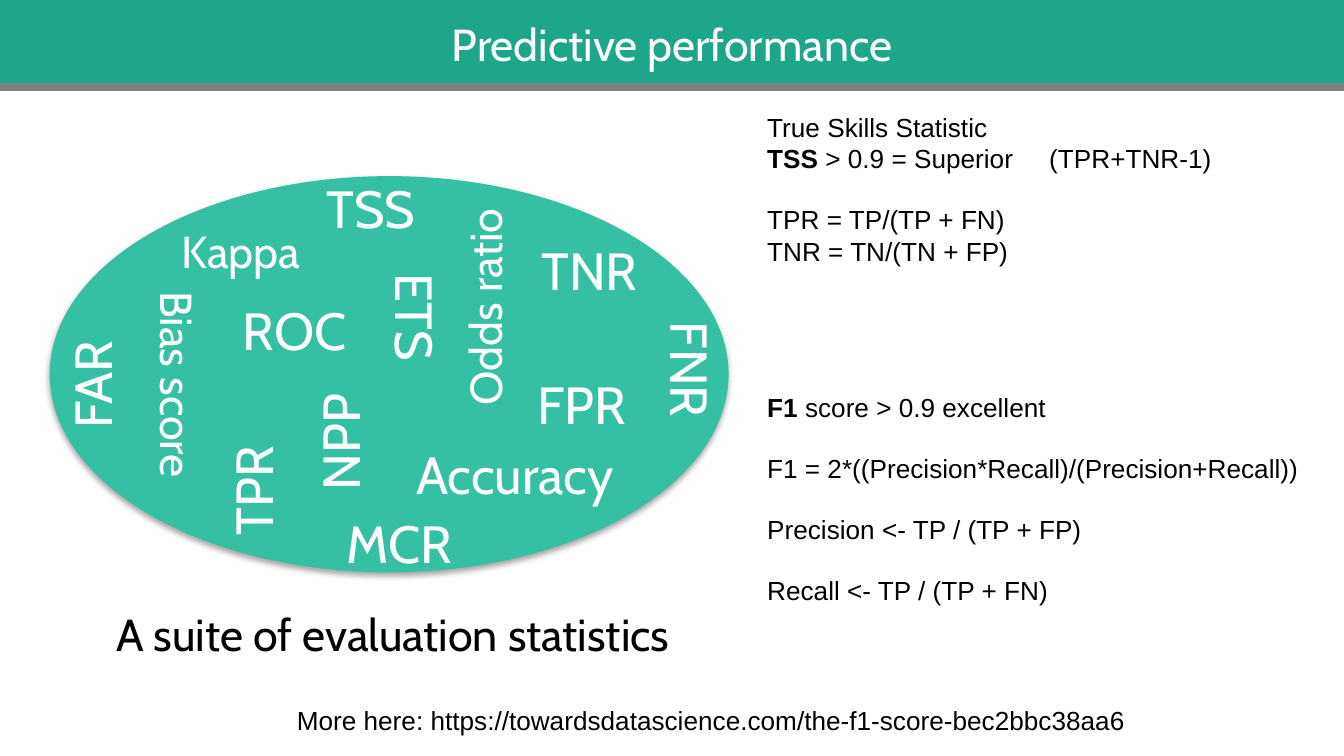
from lxml.etree import SubElement
from pptx import Presentation
from pptx.dml.color import RGBColor
from pptx.enum.shapes import MSO_CONNECTOR, MSO_SHAPE
from pptx.enum.text import MSO_ANCHOR, PP_ALIGN
from pptx.oxml.ns import qn
from pptx.util import Cm, Pt

WHITE = RGBColor(0xFF, 0xFF, 0xFF)
BLACK = RGBColor(0, 0, 0)
GREEN = RGBColor(0x1D, 0xA6, 0x8A)
MINT = RGBColor(0x35, 0xBF, 0xA3)
GREY = RGBColor(0x7F, 0x7F, 0x7F)

WIDE, HIGH, BAR = 25.4, 14.29, 1.65
TALL = {28: 1.45, 24: 1.27}
LINE = 16

TITLE = "Predictive performance"
CAPTION = "A suite of evaluation statistics"

# left, top, width, turn, size
WORDS = [
    ("TSS", 5.92, 3.2, 2.72, 0, 28),
    ("Accuracy", 7.62, 8.23, 4.78, 0, 28),
    ("FAR", 0.38, 6.27, 2.72, 270, 28),
    ("ROC", 4.34, 5.51, 2.72, 0, 28),
    ("Kappa", 3.18, 4.11, 4.24, 0, 24),
    ("MCR", 6.3, 9.53, 3.71, 0, 28),
    ("TPR", 3.43, 8.28, 2.72, 270, 28),
    ("NPP", 5.16, 7.52, 2.54, 270, 28),
    ("Bias score", 1.09, 6.91, 4.57, 90, 24),
    ("FNR", 11.79, 6.38, 2.54, 90, 28),
    ("TNR", 9.98, 4.37, 2.54, 0, 28),
    ("Odds ratio", 6.55, 4.67, 5.21, 270, 24),
    ("FPR", 9.91, 6.91, 2.72, 0, 28),
    ("ETS", 6.5, 5.56, 2.72, 90, 28),
]

NOTES = [
    ((14.25, 7.14, 10.77, 4.7), [
        ("F1", " score > 0.9 excellent", 0),
        ("", "F1 = 2*((Precision*Recall)/(Precision+Recall))", 1),
        ("", "Precision <- TP / (TP + FP)", 1),
        ("", "Recall <- TP / (TP + FN)", 1),
    ]),
    ((14.25, 1.85, 9.93, 4.11), [
        ("", "True Skills Statistic", 0),
        ("TSS", " > 0.9 = Superior\t(TPR+TNR-1)", 0),
        ("", "TPR = TP/(TP + FN)", 1),
        ("", "TNR = TN/(TN + FP)", 0),
    ]),
    ((5.36, 13.06, 17.5, 1.12), [
        ("", "More here: https://towardsdatascience.com/the-f1-score-bec2bbc38aa6", 0),
    ]),
]


def style(font, name, size, color):
    font.name, font.size = name, Pt(size)
    font.color.rgb = color


def add_box(spot):
    box = slide.shapes.add_textbox(*map(Cm, spot))
    box.text_frame.word_wrap = True
    return box


def add_word(text, left, top, width, turn, size, color=WHITE):
    box = add_box((left, top, width, TALL[size]))
    box.rotation = turn
    box.text_frame.text = text
    style(box.text_frame.paragraphs[0].runs[0].font, "Cabin", size, color)
    return box


def add_note(spot, rows):
    frame = add_box(spot).text_frame
    frame.margin_left = frame.margin_right = Cm(0.25)
    frame.margin_top = frame.margin_bottom = Cm(0.25)
    for i, (head, rest, gap) in enumerate(rows):
        para = frame.add_paragraph() if i else frame.paragraphs[0]
        if gap:
            para.space_before = Pt(gap * LINE)
        if "\t" in rest:
            tabs = SubElement(para._p.get_or_add_pPr(), qn("a:tabLst"))
            SubElement(tabs, qn("a:tab"), pos=str(Cm(5.33)), algn="l")
        para.text = head + rest if not head else head
        if head:
            para.add_run().text = rest.replace("\t", "\t")
        for run in para.runs:
            style(run.font, "Arial", 14, BLACK)
            run.font.bold = run.text == head


def add_shade(shape):
    effect = SubElement(shape._element.spPr, qn("a:effectLst"))
    shade = SubElement(effect, qn("a:outerShdw"), blurRad=str(Pt(3.1)),
                       dist=str(Pt(1.8)), dir="5400000", rotWithShape="0")
    color = SubElement(shade, qn("a:srgbClr"), val="000000")
    SubElement(color, qn("a:alpha"), val="34000")


deck = Presentation()
deck.slide_width, deck.slide_height = Cm(WIDE), Cm(HIGH)
slide = deck.slides.add_slide(deck.slide_layouts[5])

title = slide.shapes.title
title.left, title.top, title.width, title.height = map(Cm, (0, 0, WIDE, BAR))
title.fill.solid()
title.fill.fore_color.rgb = GREEN
title.text_frame.text = TITLE
title.text_frame.vertical_anchor = MSO_ANCHOR.MIDDLE
title.text_frame.paragraphs[0].alignment = PP_ALIGN.CENTER
style(title.text_frame.paragraphs[0].runs[0].font, "Cabin", 24, WHITE)

rule = slide.shapes.add_connector(
    MSO_CONNECTOR.STRAIGHT, Cm(0), Cm(BAR), Cm(WIDE), Cm(BAR))
rule.line.color.rgb = GREY
rule.line.width = Pt(4.5)
SubElement(rule._element.spPr, qn("a:effectLst"))

oval = slide.shapes.add_shape(
    MSO_SHAPE.OVAL, *map(Cm, (0.94, 3.33, 12.83, 7.49)))
oval.fill.solid()
oval.fill.fore_color.rgb = MINT
oval.line.fill.background()
add_shade(oval)

for word in WORDS:
    add_word(*word)

label = add_word(CAPTION, 0.86, 11.35, 13.13, 0, 24, BLACK)
label.fill.solid()
label.fill.fore_color.rgb = WHITE
label.text_frame.paragraphs[0].alignment = PP_ALIGN.CENTER

for spot, rows in NOTES:
    add_note(spot, rows)

deck.save("out.pptx")
